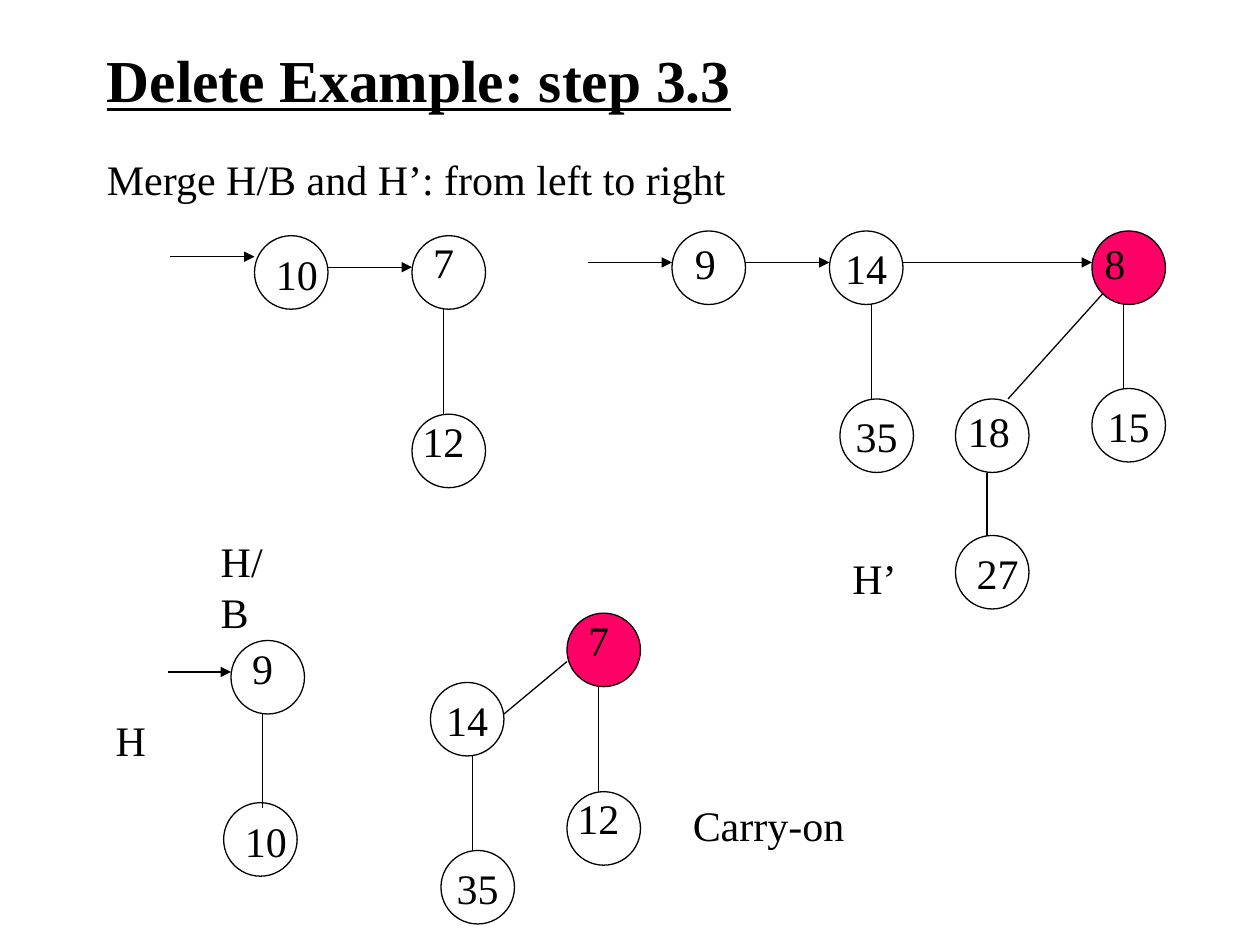
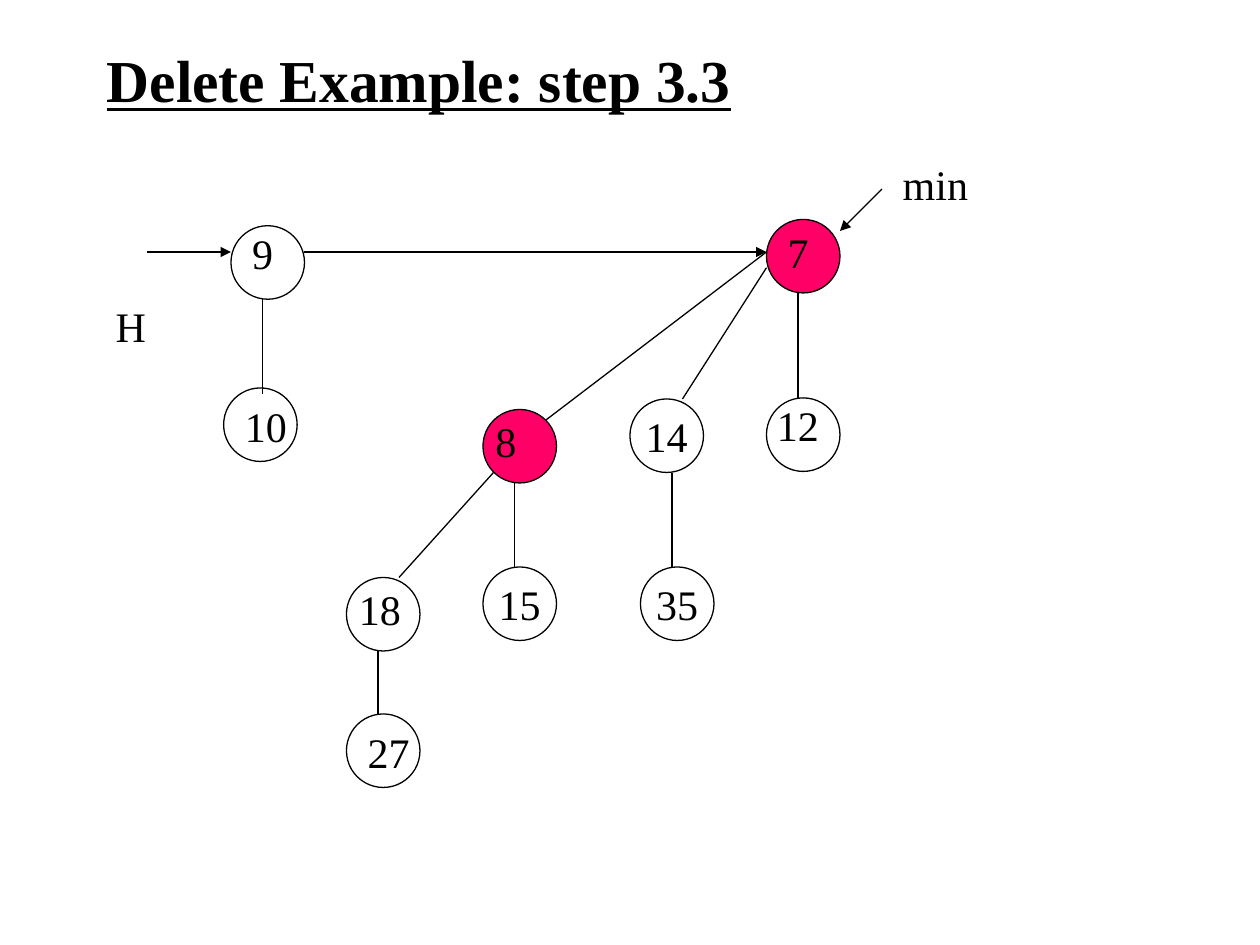
import pptx
import pptx.util
import pptx.dml.color
import pptx.enum.shapes
import pptx.enum.text
import pptx.oxml.ns
import lxml.etree

BLACK = pptx.dml.color.RGBColor(0x00, 0x00, 0x00)
PINK = pptx.dml.color.RGBColor(0xFF, 0x00, 0x66)
FONT = "Times New Roman"
BODY_SIZE, TITLE_SIZE = 24, 34
LINE_WIDTH = 0.74

# The grid has 120 columns and 90 rows of square cells.
SLIDE_W, SLIDE_H = pptx.util.Inches(10), pptx.util.Inches(7.5)
COLUMNS = 120
NODE = 7            # diameter of a node
TEXT_ROW = 6        # height of a line of body text
DIGIT_WIDTHS = {1: 4.3, 2: 6.4}


def cells(n):
    """Turn grid cells into a length."""
    return pptx.util.Emu(round(n * SLIDE_W / COLUMNS))


def add_run(p, text, size=BODY_SIZE, bold=False, underline=False):
    """Add one run in the shared font."""
    r = p.add_run()
    r.text = text
    r.font.name = FONT
    r.font.size = pptx.util.Pt(size)
    r.font.bold = bold
    r.font.underline = underline
    r.font.color.rgb = BLACK


def add_title(s, text):
    """Place the underlined slide title."""
    sp = s.shapes.add_textbox(cells(9), cells(4), cells(81), cells(7))
    tf = sp.text_frame
    tf.word_wrap = True
    tf.vertical_anchor = pptx.enum.text.MSO_ANCHOR.MIDDLE
    add_run(tf.paragraphs[0], text, TITLE_SIZE, bold=True, underline=True)


def add_label(s, x, y, width, text, wrap=False):
    """Place one line of body text."""
    sp = s.shapes.add_textbox(cells(x), cells(y), cells(width), cells(TEXT_ROW))
    tf = sp.text_frame
    tf.word_wrap = wrap
    tf.auto_size = pptx.enum.text.MSO_AUTO_SIZE.SHAPE_TO_FIT_TEXT
    add_run(tf.paragraphs[0], text)


def add_line(s, x1, y1, x2, y2, arrow=False):
    """Draw a line, with an arrowhead at its end on request."""
    c = s.shapes.add_connector(pptx.enum.shapes.MSO_CONNECTOR.STRAIGHT,
                               cells(x1), cells(y1), cells(x2), cells(y2))
    c.line.color.rgb = BLACK
    c.line.width = pptx.util.Pt(LINE_WIDTH)
    qn = pptx.oxml.ns.qn
    if arrow:
        lxml.etree.SubElement(c.line._get_or_add_ln(), qn("a:tailEnd"), type="triangle")
    lxml.etree.SubElement(c._element.spPr, qn("a:effectLst"))


def add_circle(s, x, y, fill=None):
    """Draw the outline of a node and return it."""
    sp = s.shapes.add_shape(pptx.enum.shapes.MSO_SHAPE.OVAL,
                            cells(x), cells(y), cells(NODE), cells(NODE))
    sp.shadow.inherit = False
    if fill is None:
        sp.fill.background()
    else:
        sp.fill.solid()
        sp.fill.fore_color.rgb = fill
    sp.line.color.rgb = BLACK
    sp.line.width = pptx.util.Pt(LINE_WIDTH)
    return sp


def centred_node(s, x, y, key):
    """Draw a node that holds its own key."""
    tf = add_circle(s, x, y).text_frame
    tf.word_wrap = False
    tf.vertical_anchor = pptx.enum.text.MSO_ANCHOR.MIDDLE
    p = tf.paragraphs[0]
    p.alignment = pptx.enum.text.PP_ALIGN.CENTER
    add_run(p, key)


def labelled_node(s, x, y, key, dx=0.84, dy=0.6, fill=None):
    """Draw a node with its key in a text box, shifted by dx and dy."""
    add_circle(s, x, y, fill)
    add_label(s, x + dx, y + dy, DIGIT_WIDTHS[len(key)], key)


def tree_9(s, x, y):
    """Draw 9 over 10, with the root at x, y."""
    labelled_node(s, x, y, "9", dy=-0.42)
    labelled_node(s, x - 0.7, y + 15.45, "10")
    add_line(s, x + 3, y + NODE, x + 3, y + 16)


def tree_7(s, x, y, fill=None, dy=-0.48):
    """Draw 7 over 12, with the root at x, y."""
    labelled_node(s, x, y, "7", dy=dy, fill=fill)
    labelled_node(s, x, y + 17, "12", dx=-0.2, dy=-0.48)
    add_line(s, x + 3, y + NODE, x + 3, y + 17)


def tree_14(s, x, y):
    """Draw 14 over 35, with the root at x, y."""
    centred_node(s, x, y, "14")
    centred_node(s, x + 1, y + 16, "35")
    add_line(s, x + 4, y + NODE, x + 4, y + 16)


def tree_8(s, x, y):
    """Draw 8 over 18 and 15, and 27 under 18, with the root at x, y."""
    add_circle(s, x, y, PINK)
    add_label(s, x, y, DIGIT_WIDTHS[2], "8", wrap=True)
    centred_node(s, x, y + 15, "15")
    labelled_node(s, x - 13, y + 16, "18", dx=0, dy=0)
    labelled_node(s, x - 13, y + 29, "27")
    add_line(s, x + 3, y + NODE, x + 3, y + 15)
    add_line(s, x - 10, y + 16 + NODE, x - 10, y + 29)
    add_line(s, x + 1, y + 6, x - 8, y + 16)


def heap_h_b(s, x, y):
    """Draw heap H/B, with its first root at x, y."""
    labelled_node(s, x, y, "10")
    tree_7(s, x + 15, y)
    add_line(s, x - 8, y + 2, x, y + 2, arrow=True)
    add_line(s, x + NODE, y + 3, x + 15, y + 3, arrow=True)
    add_label(s, x - 4.4, y + 28, 9, "H/B")


def heap_h_prime(s, x, y):
    """Draw heap H', with its first root at x, y."""
    labelled_node(s, x, y, "9", dx=1, dy=0)
    tree_14(s, x + 15, y)
    tree_8(s, x + 40, y)
    for start, end in ((-8, 0), (NODE, 15), (15 + NODE, 40)):
        add_line(s, x + start, y + 3, x + end, y + 3, arrow=True)
    add_label(s, x + 16, y + 30, 6.6, "H’")


def heap_h(s, x, y, entry, arrow_dy):
    """Draw the start of heap H, its entry arrow and its name."""
    tree_9(s, x, y)
    add_line(s, x - entry, y + arrow_dy, x, y + arrow_dy, arrow=True)
    add_label(s, x - 12.16, y + 6.5, 5.3, "H")


def carry_on(s, x, y):
    """Draw the carried tree, with its root at x, y."""
    tree_7(s, x, y, PINK)
    tree_14(s, x - 13, y + 6.6)
    add_line(s, x - 13 + NODE, y + 9.6, x, y + 4.6)
    add_label(s, x + 10.8, y + 17.2, 16.8, "Carry-on")


def merged_tree(s, x, y):
    """Draw the final tree with its min pointer, with the root at x, y."""
    tree_7(s, x, y, PINK, dy=0.12)
    tree_14(s, x - 13, y + 17.1)
    tree_8(s, x - 27, y + 18.1)
    add_line(s, x - 8, y + 17.1, x, y + 4.6)
    add_line(s, x, y + 3.1, x - 21, y + 19.1)
    add_line(s, x + 11, y - 2.9, x + NODE, y + 1.1, arrow=True)
    add_label(s, x + 11.8, y - 6.4, 8.6, "min")


def merge_slide(prs):
    """Build the slide that merges the two heaps."""
    s = prs.slides.add_slide(prs.slide_layouts[6])
    add_title(s, TITLE)
    add_label(s, 9, 14, 61.3, "Merge H/B and H’: from left to right")
    heap_h_b(s, 24.24, 22.45)
    heap_h_prime(s, 64, 22)
    heap_h(s, 22, 61, entry=6, arrow_dy=3)
    carry_on(s, 54, 58.4)


def result_slide(prs):
    """Build the slide that shows the merged heap."""
    s = prs.slides.add_slide(prs.slide_layouts[6])
    add_title(s, TITLE)
    heap_h(s, 22, 21.5, entry=8, arrow_dy=2.5)
    merged_tree(s, 73, 20.9)
    add_line(s, 22 + NODE, 24, 73, 24, arrow=True)


TITLE = "Delete Example: step 3.3"

prs = pptx.Presentation()
prs.slide_width, prs.slide_height = SLIDE_W, SLIDE_H
merge_slide(prs)
result_slide(prs)
prs.save("out.pptx")
